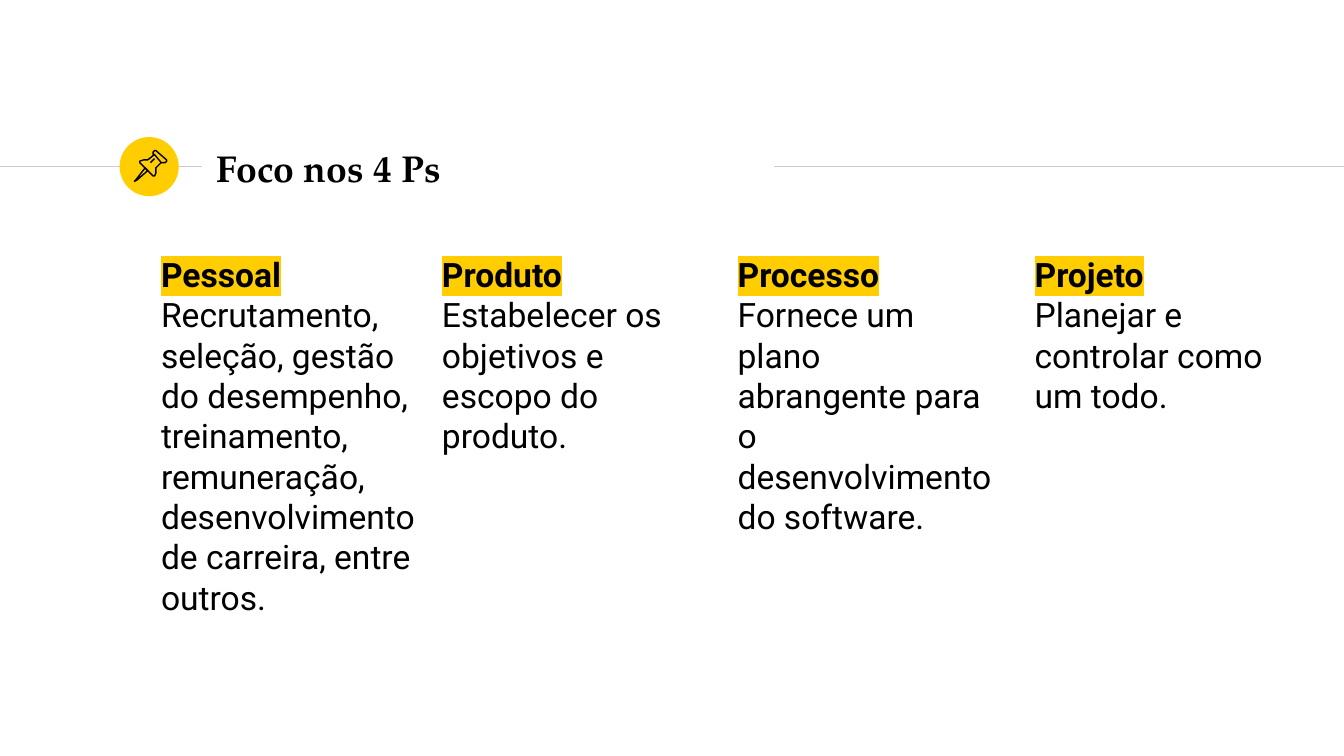
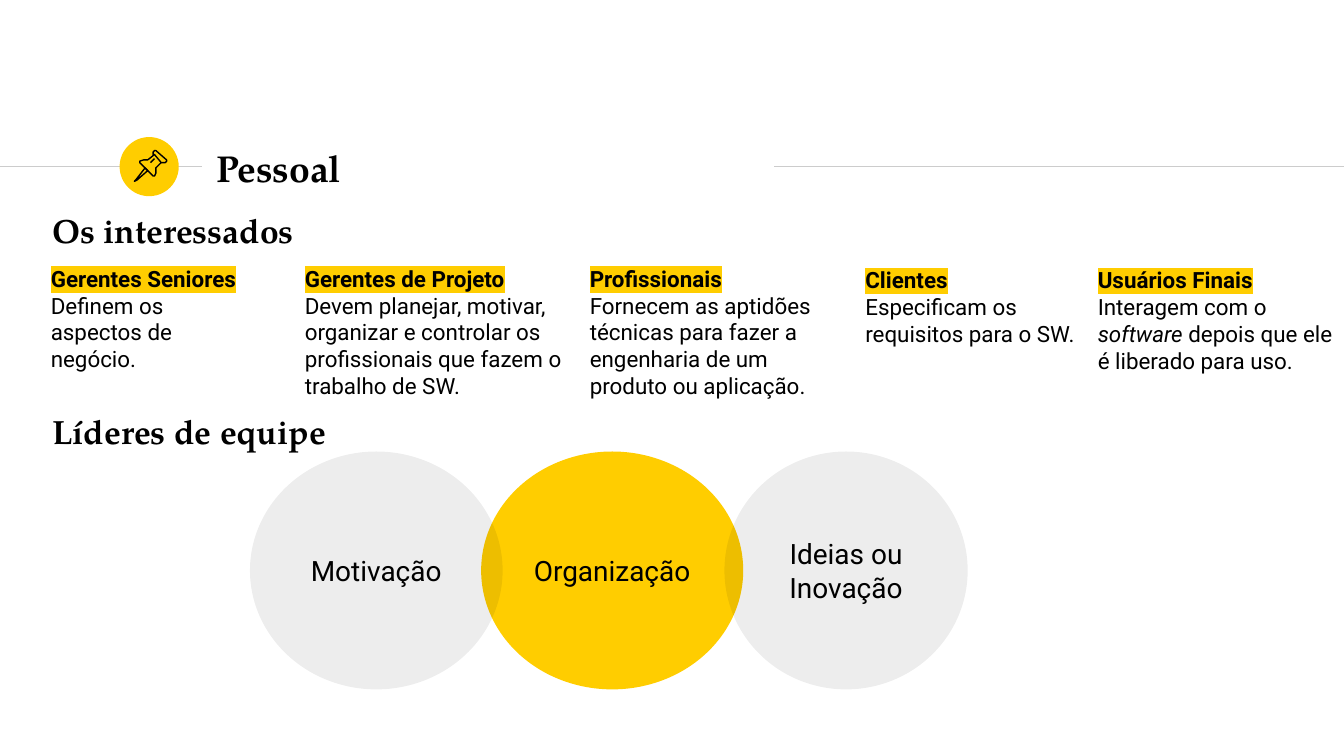
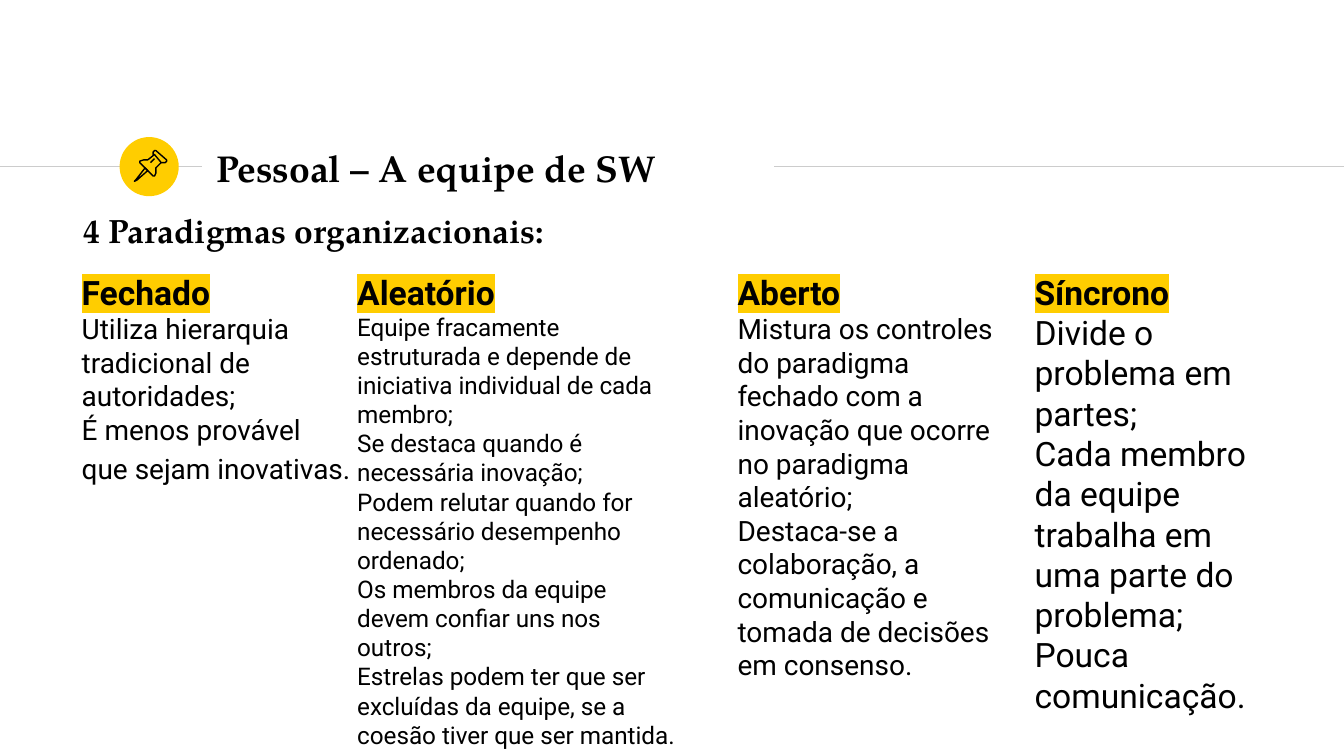
from dataclasses import dataclass, replace

from lxml.etree import SubElement
from pptx import Presentation
from pptx.dml.color import RGBColor
from pptx.enum.shapes import MSO_CONNECTOR, MSO_SHAPE
from pptx.enum.text import MSO_ANCHOR, PP_ALIGN
from pptx.oxml.ns import qn
from pptx.util import Inches, Pt


@dataclass(frozen=True)
class Theme:
    """Colours, fonts and type sizes shared by the deck."""
    ink: str = "000000"
    accent: str = "FFCD00"
    rule: str = "CCCCCC"
    serif: str = "TeX Gyre Pagella"
    sans: str = "Roboto"
    title: float = 20
    heading: float = 18
    body: float = 18
    medium: float = 15
    small: float = 13
    compact: float = 12
    line: float = 0.75


@dataclass(frozen=True)
class Box:
    """A region of the page in inches."""
    left: float
    top: float
    width: float
    height: float

    def emu(self):
        """Return the region as lengths."""
        return [Inches(side) for side in (self.left, self.top, self.width, self.height)]


@dataclass(frozen=True)
class Span:
    """A stretch of text with one style."""
    text: str
    size: float
    font: str
    bold: bool = False
    italic: bool = False
    marked: bool = False


THEME = Theme()
TITLE_BOX = Box(1.51, 1.01, 4.24, 0.48)
DISC_BOX = Box(0.89, 1.02, 0.44, 0.44)
RULE_TOP = 1.24
PIN_OUTLINES = [
    ([(19, 23), (12, 32), (11, 33), (13, 32), (21, 25)], True),
    ([(26, 13), (31, 19), (32, 19), (34, 19), (35, 18), (35, 17),
      (27, 10), (26, 10), (25, 11), (25, 13)], True),
    ([(26, 13), (21, 17), (18, 17), (15, 18), (15, 19), (25, 29),
      (26, 29), (27, 27), (27, 23), (31, 19)], False),
    ([(23, 19), (26, 16)], False),
]


def color(value):
    """Turn a hex string into a colour."""
    return RGBColor.from_string(value)


def add_span(para, span):
    """Add one run with its style to a paragraph."""
    run = para.add_run()
    run.text = span.text
    font = run.font
    font.size = Pt(span.size)
    font.bold = span.bold
    font.italic = span.italic
    font.color.rgb = color(THEME.ink)
    if span.marked:
        highlight = SubElement(font._element, qn("a:highlight"))
        SubElement(highlight, qn("a:srgbClr"), val=THEME.accent)
    font.name = span.font


def fill_text(shape, paragraphs, anchor=MSO_ANCHOR.TOP, align=PP_ALIGN.LEFT):
    """Write paragraphs of spans into a shape."""
    frame = shape.text_frame
    frame.word_wrap = True
    frame.vertical_anchor = anchor
    frame.margin_left = frame.margin_right = Inches(0.1)
    frame.margin_top = frame.margin_bottom = Inches(0.1)
    for index, spans in enumerate(paragraphs):
        para = frame.add_paragraph() if index else frame.paragraphs[0]
        para.alignment = align
        for span in spans:
            add_span(para, span)


def add_ellipse(page, box, fill, opacity=100):
    """Draw a borderless ellipse, optionally see-through."""
    shape = page.shapes.add_shape(MSO_SHAPE.OVAL, *box.emu())
    shape.shadow.inherit = False
    shape.line.fill.background()
    shape.fill.solid()
    shape.fill.fore_color.rgb = color(fill)
    if opacity < 100:
        tint = shape._element.spPr.find(qn("a:solidFill"))[0]
        SubElement(tint, qn("a:alpha"), val=str(opacity * 1000))
    return shape


def add_rule(page, start, end):
    """Draw a thin horizontal rule at title height."""
    rule = page.shapes.add_connector(
        MSO_CONNECTOR.STRAIGHT, Inches(start), Inches(RULE_TOP), Inches(end), Inches(RULE_TOP))
    rule.line.color.rgb = color(THEME.rule)
    rule.line.width = Pt(THEME.line)
    SubElement(rule._element.spPr, qn("a:effectLst"))


def add_pin(page, box):
    """Draw the pushpin outline over the disc."""
    group = page.shapes.add_group_shape()
    for points, closed in PIN_OUTLINES:
        builder = group.shapes.build_freeform(*points[0], scale=Inches(0.01))
        builder.add_line_segments(points[1:], close=closed)
        outline = builder.convert_to_shape(Inches(box.left), Inches(box.top))
        outline.shadow.inherit = False
        outline.fill.background()
        outline.line.color.rgb = color(THEME.ink)
        outline.line.width = Pt(THEME.line)


def add_heading(page, box, text, size=THEME.heading):
    """Place a bold serif heading."""
    shape = page.shapes.add_textbox(*box.emu())
    fill_text(shape, [[Span(text, size, THEME.serif, bold=True)]], MSO_ANCHOR.MIDDLE)


def add_column(page, box, head, paragraphs, size=THEME.body, head_size=THEME.heading):
    """Place a highlighted head with paragraphs of strings or spans below."""
    rows = [[Span(head, head_size, THEME.sans, bold=True, marked=True)]]
    for content in paragraphs:
        rows.append([Span(content, size, THEME.sans)] if isinstance(content, str) else content)
    fill_text(page.shapes.add_textbox(*box.emu()), rows)


def add_bubble(page, box, text, fill, opacity=100):
    """Place a labelled circle of the team leader diagram."""
    shape = add_ellipse(page, box, fill, opacity)
    fill_text(shape, [[Span(text, THEME.medium, THEME.sans)]], MSO_ANCHOR.MIDDLE, PP_ALIGN.CENTER)


def add_page(deck, title):
    """Start a page with rules, disc, pin and title."""
    page = deck.slides.add_slide(deck.slide_layouts[6])
    add_rule(page, 0, 1.5)
    add_ellipse(page, DISC_BOX, THEME.accent)
    add_rule(page, 5.76, 10)
    add_heading(page, TITLE_BOX, title, THEME.title)
    add_pin(page, DISC_BOX)
    return page


def build_focus(deck):
    """Build the page on the four Ps."""
    page = add_page(deck, "Foco nos 4 Ps")
    columns = [
        (1.1, 2.16, "Pessoal", "Recrutamento, seleção, gestão do desempenho, treinamento, "
         "remuneração, desenvolvimento de carreira, entre outros."),
        (3.19, 2.05, "Produto", "Estabelecer os objetivos e escopo do produto."),
        (5.39, 2.13, "Processo", "Fornece um plano abrangente para o desenvolvimento do software."),
        (7.6, 1.97, "Projeto", "Planejar e controlar como um todo."),
    ]
    for left, width, head, text in columns:
        add_column(page, Box(left, 1.79, width, 3.41), head, [text])


def build_people(deck):
    """Build the page on stakeholders and team leaders."""
    page = add_page(deck, "Pessoal")
    plain = Span("Interagem com o ", THEME.compact, THEME.sans)
    users = [
        plain,
        replace(plain, text="software ", italic=True),
        replace(plain, text="depois que ele é liberado para uso."),
    ]
    columns = [
        (0.28, 1.87, 1.73, "Gerentes Seniores", "Definem os aspectos de negócio."),
        (2.17, 1.87, 2.2, "Gerentes de Projeto", "Devem planejar, motivar, organizar e "
         "controlar os profissionais que fazem o trabalho de SW."),
        (4.29, 1.87, 2.13, "Profissionais", "Fornecem as aptidões técnicas para fazer a "
         "engenharia de um produto ou aplicação."),
        (6.34, 1.88, 1.89, "Clientes", "Especificam os requisitos para o SW."),
        (8.07, 1.88, 2.07, "Usuários Finais", users),
    ]
    for left, top, width, head, content in columns:
        add_column(page, Box(left, top, width, 1.32), head, [content], THEME.compact, THEME.compact)
    for top, text in [(1.47, "Os interessados"), (2.97, "Líderes de equipe")]:
        add_heading(page, Box(0.29, top, 4.24, 0.48), text)
    bubbles = [
        (3.58, 1.95, "Organização", THEME.accent, 100),
        (1.86, 1.88, "Motivação", THEME.ink, 7),
        (5.39, 1.81, "Ideias ou Inovação", THEME.ink, 7),
    ]
    for left, width, text, fill, opacity in bubbles:
        add_bubble(page, Box(left, 3.36, width, 1.77), text, fill, opacity)


def build_team(deck):
    """Build the page on the organisational paradigms."""
    page = add_page(deck, "Pessoal – A equipe de SW")
    unlikely = [
        Span("É menos provável que sejam inovativas.", THEME.medium, THEME.sans),
        Span("\t", THEME.body, THEME.sans),
    ]
    columns = [
        (0.51, 2.2, "Fechado", THEME.medium, [
            "Utiliza hierarquia tradicional de autoridades;",
            unlikely]),
        (2.56, 2.6, "Aleatório", THEME.small, [
            "Equipe fracamente estruturada e depende de iniciativa individual de cada membro;",
            "Se destaca quando é necessária inovação;",
            "Podem relutar quando for necessário desempenho ordenado;",
            "Os membros da equipe devem confiar uns nos outros;",
            "Estrelas podem ter que ser excluídas da equipe, se a coesão tiver que ser mantida."]),
        (5.39, 2.13, "Aberto", THEME.medium, [
            "Mistura os controles do paradigma fechado com a",
            "inovação que ocorre no paradigma aleatório;",
            "Destaca-se a colaboração, a comunicação e tomada de decisões em consenso."]),
        (7.6, 1.97, "Síncrono", THEME.body, [
            "Divide o problema em partes;",
            "Cada membro da equipe trabalha em uma parte do",
            "problema;",
            "Pouca comunicação."]),
    ]
    for left, width, head, size, paragraphs in columns:
        add_column(page, Box(left, 1.92, width, 3.41), head, paragraphs, size)
    add_heading(page, Box(0.52, 1.47, 4.24, 0.48), "4 Paradigmas organizacionais:")


def main():
    """Build and save the widescreen deck."""
    deck = Presentation()
    deck.slide_width = Inches(10)
    deck.slide_height = Inches(10) * 9 // 16
    for build in (build_focus, build_people, build_team):
        build(deck)
    deck.save("out.pptx")


main()
